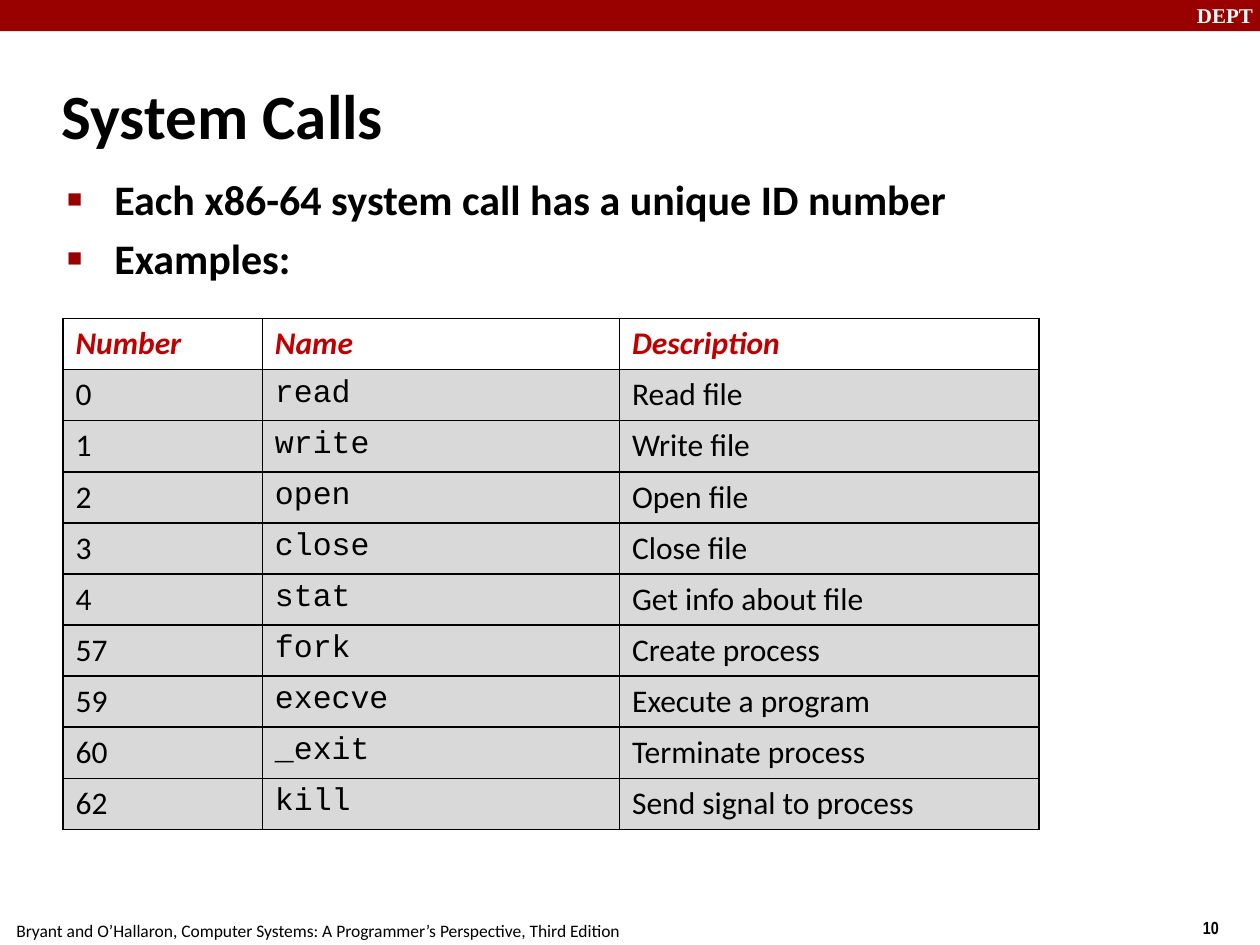
from lxml import etree
from pptx import Presentation
from pptx.dml.color import RGBColor
from pptx.enum import shapes, text
from pptx.oxml import ns
from pptx.util import Cm, Pt

BLACK = RGBColor(0x00, 0x00, 0x00)
WHITE = RGBColor(0xFF, 0xFF, 0xFF)
BANNER_RED = RGBColor(0x99, 0x00, 0x00)
HEADER_RED = RGBColor(0xC0, 0x00, 0x00)
ROW_GRAY = RGBColor(0xD9, 0xD9, 0xD9)

SANS = "Calibri"
MONO = "Courier New"

BULLETS = ["Each x86-64 system call has a unique ID number", "Examples:"]
HEADERS = ["Number", "Name", "Description"]
SYSTEM_CALLS = [
    ("0", "read", "Read file"),
    ("1", "write", "Write file"),
    ("2", "open", "Open file"),
    ("3", "close", "Close file"),
    ("4", "stat", "Get info about file"),
    ("57", "fork", "Create process"),
    ("59", "execve", "Execute a program"),
    ("60", "_exit", "Terminate process"),
    ("62", "kill", "Send signal to process"),
]
COLUMN_WIDTHS = [Cm(4.02), Cm(7.2), Cm(8.46)]
ROW_HEIGHT = Cm(1.03)


def place(shape, left, top, width, height):
    shape.left, shape.top = Cm(left), Cm(top)
    shape.width, shape.height = Cm(width), Cm(height)


def format_runs(para, size, font=SANS, color=BLACK, bold=False, italic=False):
    for span in para.runs:
        span.font.size = Pt(size)
        span.font.name = font
        span.font.color.rgb = color
        span.font.bold = bold
        span.font.italic = italic


def set_indent(para, margin, first_line):
    properties = para._p.get_or_add_pPr()
    properties.set("marL", str(Cm(margin)))
    properties.set("indent", str(Cm(first_line)))


def add_square_bullet(para):
    properties = para._p.get_or_add_pPr()
    color = etree.SubElement(properties, ns.qn("a:buClr"))
    etree.SubElement(color, ns.qn("a:srgbClr"), val=str(BANNER_RED))
    etree.SubElement(properties, ns.qn("a:buSzPct"), val="60000")
    etree.SubElement(properties, ns.qn("a:buChar"), char="■")


def add_banner(page, width):
    banner = page.shapes.add_shape(
        shapes.MSO_SHAPE.RECTANGLE, 0, 0, width, Cm(0.63))
    banner.shadow.inherit = False
    banner.fill.solid()
    banner.fill.fore_color.rgb = BANNER_RED
    banner.line.fill.background()


def add_label(page, wording, position, wrap=True, **style):
    box = page.shapes.add_textbox(*(Cm(length) for length in position))
    box.text_frame.word_wrap = wrap
    box.text_frame.text = wording
    format_runs(box.text_frame.paragraphs[0], **style)


def fill_title(title):
    place(title, 0.99, 1.24, 21.08, 2.11)
    frame = title.text_frame
    frame.text = "System Calls"
    frame.auto_size = text.MSO_AUTO_SIZE.NONE
    frame.vertical_anchor = text.MSO_ANCHOR.MIDDLE
    para = frame.paragraphs[0]
    para.alignment = text.PP_ALIGN.LEFT
    set_indent(para, 0.33, -0.33)
    format_runs(para, 36, bold=True)


def fill_bullets(body):
    place(body, 1.09, 3.38, 21.95, 14.81)
    frame = body.text_frame
    frame.text = "\n".join(BULLETS)
    frame.auto_size = text.MSO_AUTO_SIZE.NONE
    for para in frame.paragraphs:
        para.space_before = Pt(4.8)
        set_indent(para, 0.96, -0.95)
        add_square_bullet(para)
        format_runs(para, 24, bold=True)


def add_borders(cell):
    properties = cell._tc.get_or_add_tcPr()
    for side in ("lnL", "lnR", "lnT", "lnB"):
        line = etree.SubElement(properties, ns.qn(f"a:{side}"), w=str(Pt(1)))
        fill = etree.SubElement(line, ns.qn("a:solidFill"))
        etree.SubElement(fill, ns.qn("a:srgbClr"), val=str(BLACK))


def fill_cell(cell, wording, background, **style):
    cell.text = wording
    format_runs(cell.text_frame.paragraphs[0], 18, **style)
    add_borders(cell)
    cell.fill.solid()
    cell.fill.fore_color.rgb = background


def add_call_table(page):
    row_count = len(SYSTEM_CALLS) + 1
    table = page.shapes.add_table(
        row_count, len(HEADERS), Cm(1.27), Cm(6.42),
        sum(COLUMN_WIDTHS), ROW_HEIGHT * row_count).table
    for column, width in zip(table.columns, COLUMN_WIDTHS):
        column.width = width
    for row in table.rows:
        row.height = ROW_HEIGHT
    for index, header in enumerate(HEADERS):
        fill_cell(table.cell(0, index), header, WHITE,
                  color=HEADER_RED, bold=True, italic=True)
    for row_index, call in enumerate(SYSTEM_CALLS, start=1):
        for index, (wording, font) in enumerate(zip(call, (SANS, MONO, SANS))):
            fill_cell(table.cell(row_index, index), wording, ROW_GRAY, font=font)


def main():
    deck = Presentation()
    deck.slide_width, deck.slide_height = Cm(25.4), Cm(19.05)
    page = deck.slides.add_slide(deck.slide_layouts[1])
    add_banner(page, deck.slide_width)
    add_label(page, "DEPT", (23.88, -0.08, 1.7, 0.76),
              size=12, font="Times New Roman", color=WHITE, bold=True)
    add_label(page, "10", (24, 18.36, 1.9, 0.74),
              size=10, font="Arial Narrow", bold=True)
    add_label(page, "Bryant and O’Hallaron, Computer Systems: "
              "A Programmer’s Perspective, Third Edition",
              (0.08, 18.42, 12.67, 0.69), wrap=False, size=10)
    fill_title(page.shapes.title)
    fill_bullets(page.placeholders[1])
    add_call_table(page)
    deck.save("out.pptx")


if __name__ == "__main__":
    main()
